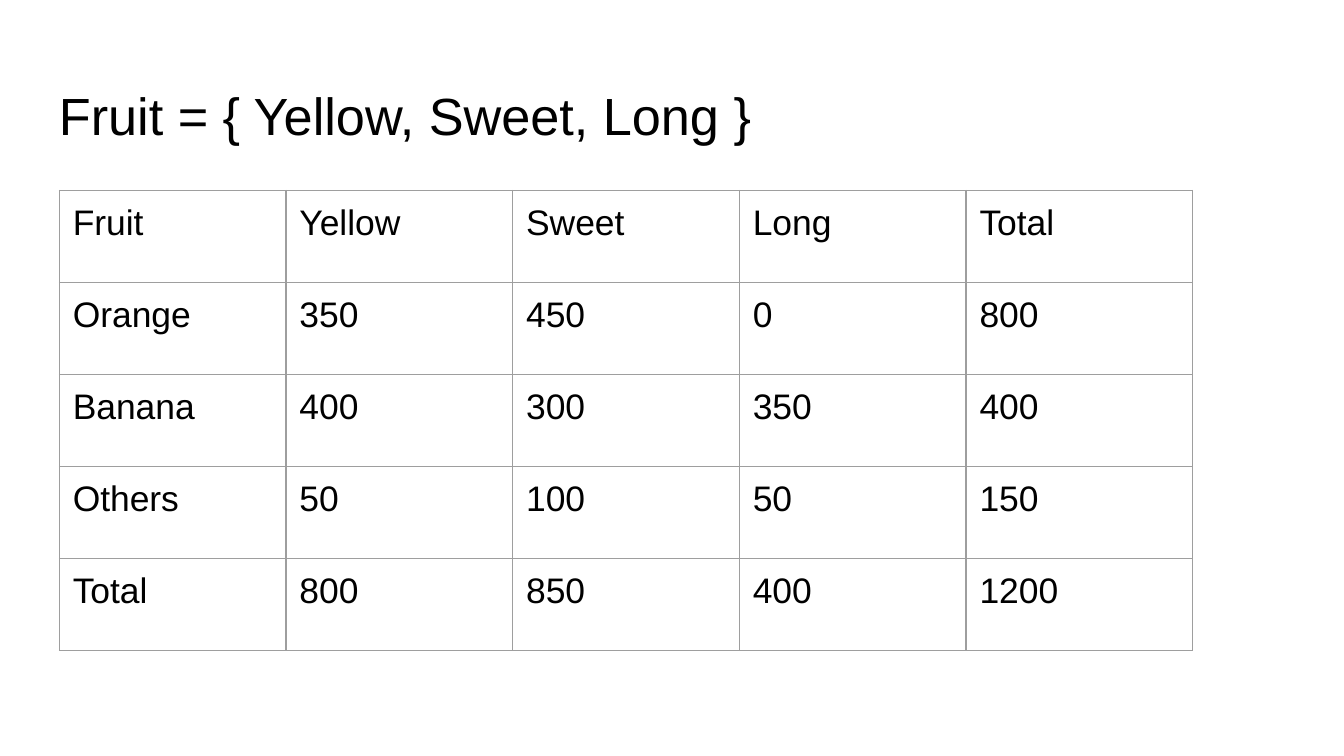
from dataclasses import dataclass

from lxml import etree
from pptx import Presentation
from pptx.dml.color import RGBColor
from pptx.enum.text import MSO_ANCHOR
from pptx.oxml.ns import qn
from pptx.util import Pt

TOP = MSO_ANCHOR.TOP
SIDES = ("a:lnL", "a:lnR", "a:lnT", "a:lnB")


@dataclass(frozen=True)
class Theme:
    font: str = "Arial"
    ink: str = "000000"
    rule: str = "9E9E9E"
    title: float = 28
    body: float = 19
    line: float = 0.75
    pad: float = 7.2


class Deck:
    def __init__(self, theme, wide, high):
        self.theme = theme
        self.prs = Presentation()
        self.prs.slide_width = Pt(wide)
        self.prs.slide_height = Pt(high)
        self.slide = self.prs.slides.add_slide(self.prs.slide_layouts[6])

    def label(self, frame, text, size):
        frame.text = text
        font = frame.paragraphs[0].runs[0].font
        font.name = self.theme.font
        font.size = Pt(size)
        font.color.rgb = RGBColor.from_string(self.theme.ink)

    def pad(self, box):
        box.margin_left = box.margin_right = Pt(self.theme.pad)
        box.margin_top = box.margin_bottom = Pt(self.theme.pad)
        box.vertical_anchor = TOP

    def title(self, text, left, top, wide, high):
        box = self.slide.shapes.add_textbox(Pt(left), Pt(top), Pt(wide), Pt(high))
        frame = box.text_frame
        frame.word_wrap = True
        self.pad(frame)
        frame.margin_top = Pt(9.5)
        self.label(frame, text, self.theme.title)

    def border(self, cell):
        props = cell._tc.get_or_add_tcPr()
        for place, side in enumerate(SIDES):
            line = etree.Element(qn(side), w=str(Pt(self.theme.line)))
            fill = etree.SubElement(line, qn("a:solidFill"))
            etree.SubElement(fill, qn("a:srgbClr"), val=self.theme.rule)
            props.insert(place, line)

    def table(self, rows, left, top, wide, high):
        count = len(rows[0])
        shape = self.slide.shapes.add_table(
            len(rows), count, Pt(left), Pt(top),
            Pt(wide * count), Pt(high * len(rows)))
        table = shape.table
        table.first_row = table.horz_banding = False
        for col in table.columns:
            col.width = Pt(wide)
        for row, texts in zip(table.rows, rows):
            row.height = Pt(high)
            for cell, text in zip(row.cells, texts):
                self.pad(cell)
                cell.fill.background()
                self.border(cell)
                self.label(cell.text_frame, text, self.theme.body)


def main():
    deck = Deck(Theme(), 720, 405)
    deck.title("Fruit = { Yellow, Sweet, Long }", 24.5, 35.3, 671, 45.4)
    fruit = [
        ("Fruit", "Yellow", "Sweet", "Long", "Total"),
        ("Orange", "350", "450", "0", "800"),
        ("Banana", "400", "300", "350", "400"),
        ("Others", "50", "100", "50", "150"),
        ("Total", "800", "850", "400", "1200"),
    ]
    deck.table(fruit, 31.8, 102, 121.45, 49.3)
    deck.prs.save("out.pptx")


if __name__ == "__main__":
    main()
